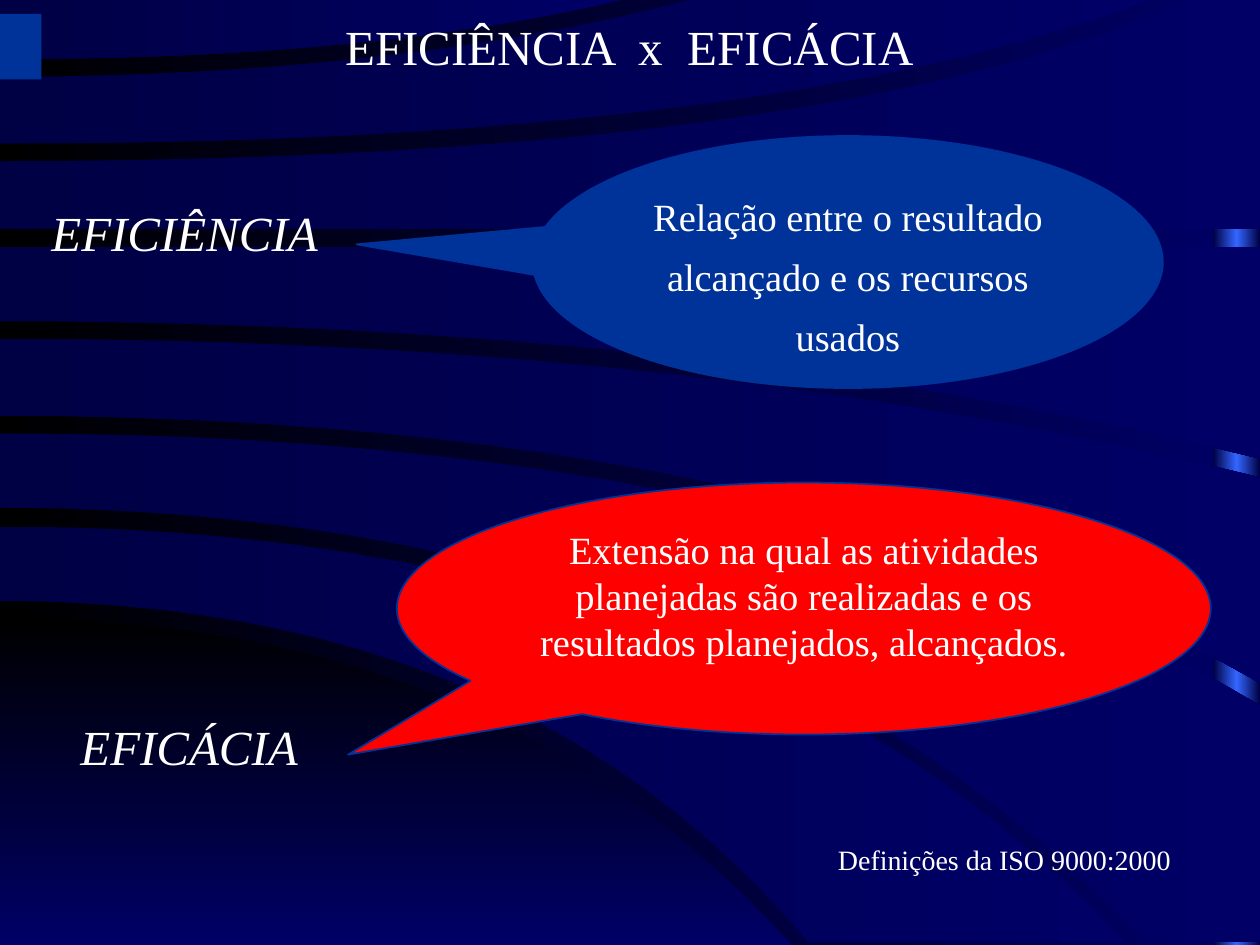
from copy import deepcopy
from dataclasses import dataclass

from pptx import Presentation
from pptx.dml.color import RGBColor
from pptx.enum.shapes import MSO_SHAPE
from pptx.enum.text import MSO_ANCHOR, PP_ALIGN
from pptx.oxml.ns import qn
from pptx.util import Inches, Pt

RECT = MSO_SHAPE.RECTANGLE
CALLOUT = MSO_SHAPE.OVAL_CALLOUT
TOP = MSO_ANCHOR.TOP
LEFT, CENTER, RIGHT = PP_ALIGN.LEFT, PP_ALIGN.CENTER, PP_ALIGN.RIGHT
STEPS = 24


@dataclass(frozen=True)
class Theme:
    font: str = "Times New Roman"
    text: str = "FFFFFF"
    black: str = "000000"
    navy: str = "000066"
    dusk: str = "000044"
    glow: str = "3366FF"
    blue: str = "003399"
    red: str = "FF0000"
    heading: int = 28
    body: int = 22
    source: int = 16


@dataclass(frozen=True)
class Arc:
    start_y: float
    bend_x: float
    end_x: float
    end_y: float

    def points(self):
        steps = [i / STEPS for i in range(STEPS + 1)]
        return [(2 * t * (1 - t) * self.bend_x + t * t * self.end_x,
                 self.start_y + t * t * (self.end_y - self.start_y)) for t in steps]


T = Theme()
HILL = Arc(4.91, 3.98, 6.28, 7.5), Arc(7.5, 3.14, 6.28, 7.5)
BANDS = [
    (Arc(4.18, 5.87, 8.93, 7.48), Arc(4.77, 4.15, 6.42, 7.48)),
    (Arc(3.44, 6.4, 10, 5.6), Arc(4.03, 5.88, 9.09, 7.48)),
    (Arc(2.69, 5.54, 10, 3.79), Arc(3.3, 6.3, 10, 5.42)),
    (Arc(1.96, 5, 10, 1.96), Arc(2.55, 5.62, 10, 3.64)),
    (Arc(1.28, 6.64, 9.4, 0), Arc(1.82, 5, 10, 1.82)),
    (Arc(0.61, 3.16, 5.48, 0), Arc(1.14, 6.1, 9.13, 0)),
    (Arc(0, 2.46, 4.92, 0), Arc(0.47, 2.94, 4.92, 0)),
]


def rgb(color):
    return RGBColor.from_string(color)


def fill_gradient(fill, colors, angle=0):
    fill.gradient()
    fill.gradient_angle = angle
    for stop, color, position in zip(fill.gradient_stops, colors, (0, 1)):
        stop.color.rgb = rgb(color)
        stop.position = position


def add_box(s, kind, box, color, line=None):
    sp = s.shapes.add_shape(kind, *map(Inches, box))
    sp.shadow.inherit = False
    sp.fill.solid()
    sp.fill.fore_color.rgb = rgb(color)
    if line:
        sp.line.color.rgb = rgb(line)
        sp.line.width = Pt(1)
    else:
        sp.line.fill.background()
    return sp


def set_text(sp, text, size, align=LEFT, spacing=None, italic=False):
    tf = sp.text_frame
    tf.word_wrap = True
    tf.vertical_anchor = TOP
    tf.text = text
    p = tf.paragraphs[0]
    p.alignment = align
    p.line_spacing = spacing
    font = p.runs[0].font
    font.name = T.font
    font.size = Pt(size)
    font.italic = italic
    font.color.rgb = rgb(T.text)


def add_text(s, box, text, size, **style):
    set_text(s.shapes.add_textbox(*map(Inches, box)), text, size, **style)


def add_band(s, upper, lower, colors, angle=0):
    near, far = sorted((upper, lower), key=lambda arc: arc.end_x)
    corner = (far.end_x, near.end_y)
    outline = upper.points() + [corner] + lower.points()[::-1]
    points = [(Inches(x), Inches(y)) for x, y in outline]
    builder = s.shapes.build_freeform(*points[0], scale=1.0)
    builder.add_line_segments(points[1:], close=True)
    sp = builder.convert_to_shape()
    sp.shadow.inherit = False
    sp.line.fill.background()
    fill_gradient(sp.fill, colors, angle)


def add_glow_strip(s, box):
    sp = add_box(s, RECT, box, T.dusk)
    fill_gradient(sp.fill, (T.dusk, T.dusk))
    stops = sp._element.find(".//" + qn("a:gsLst"))
    stops.insert(1, deepcopy(stops[0]))
    middle = sp.fill.gradient_stops[1]
    middle.color.rgb = rgb(T.glow)
    middle.position = 0.5


def add_backdrop(s, width, height):
    fill_gradient(s.background.fill, (T.black, T.navy))
    add_glow_strip(s, (width - 0.37, 0, 0.37, height))
    add_band(s, *HILL, (T.black, T.navy), angle=270)
    for upper, lower in BANDS:
        add_band(s, upper, lower, (T.dusk, T.navy))


def add_title(s, box, text):
    x, y, w, h = box
    add_box(s, RECT, (x, y + 0.03, 0.33, 0.52), T.blue)
    add_text(s, (x + 0.15, y, w - 0.31, h), text, T.heading, align=CENTER)


def add_definition(s, term_at, term, box, tail, color, text, spacing=None):
    add_text(s, (*term_at, 3.15, 0.65), term, T.heading, spacing=1.3, italic=True)
    sp = add_box(s, CALLOUT, box, color, T.blue)
    for i, offset in enumerate(tail):
        sp.adjustments[i] = offset
    set_text(sp, text, T.body, align=CENTER, spacing=spacing)


def main():
    prs = Presentation()
    prs.slide_width, prs.slide_height = Inches(10), Inches(7.5)
    s = prs.slides.add_slide(prs.slide_layouts[6])
    add_backdrop(s, 10, 7.5)
    add_title(s, (0, 0.08, 10, 0.57), "EFICIÊNCIA  x  EFICÁCIA")
    add_text(s, (6.39, 6.64, 3, 0.37), "Definições da ISO 9000:2000", T.source, align=RIGHT)
    add_definition(s, (0.31, 1.42), "EFICIÊNCIA", (4.23, 1.08, 5, 2), (-0.78, -0.07), T.blue,
                   "Relação entre o resultado alcançado e os recursos usados", spacing=1.3)
    add_definition(s, (0.54, 5.5), "EFICÁCIA", (3.15, 3.83, 6.46, 2), (-0.56, 0.58), T.red,
                   "Extensão na qual as atividades planejadas são realizadas "
                   "e os resultados planejados, alcançados.")
    prs.save("out.pptx")


if __name__ == "__main__":
    main()
